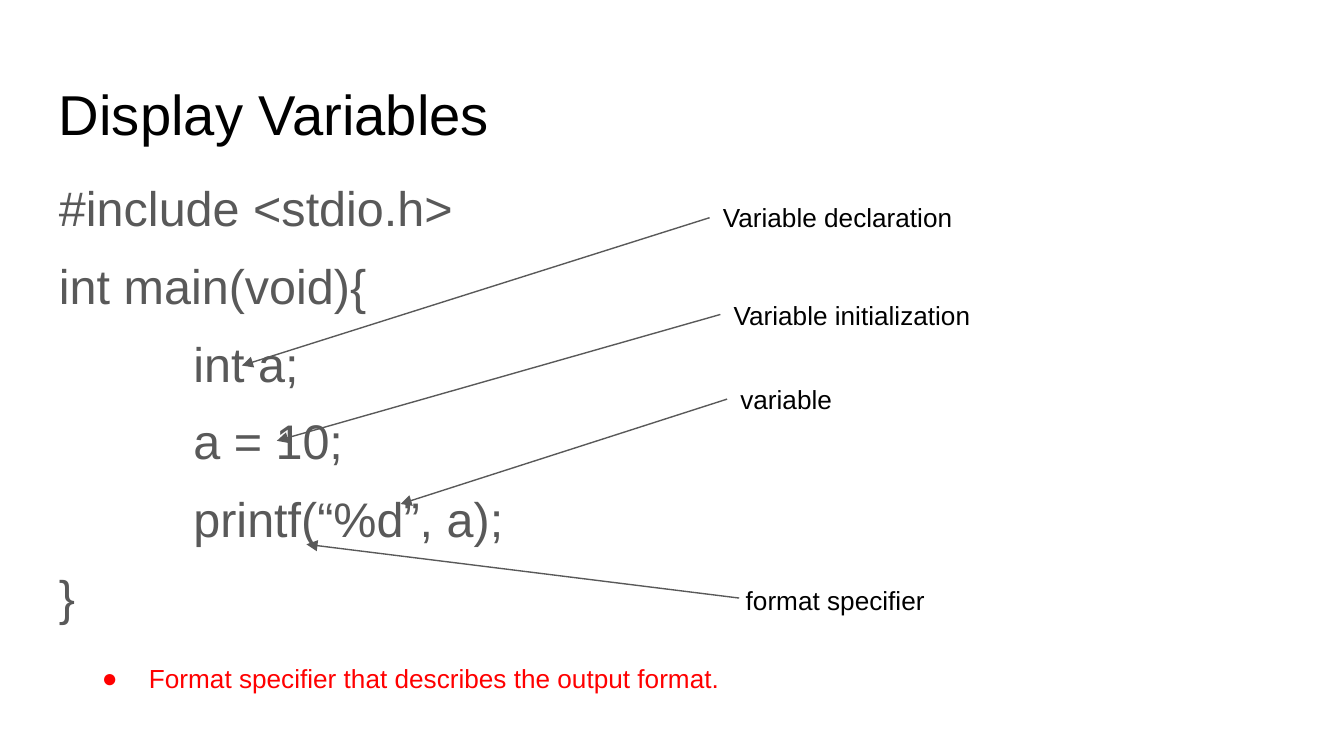
import pptx
import pptx.util
import pptx.dml.color
import pptx.enum.shapes
import pptx.enum.text
from lxml import etree

INK, CODE_GREY, RED = "000000", "595959", "FF0000"
TITLE = "Display Variables"
CODE = ["#include <stdio.h>", "int main(void){", "\tint a;", "\ta = 10;",
        "\tprintf(“%d”, a);", "}"]
# label, label left and top, arrow start, arrow tip
CALLOUTS = [
    ("Variable declaration", (5.28, 1.4), (5.28, 1.62), (1.8, 2.72)),
    ("Variable initialization ", (5.36, 2.13), (5.36, 2.34), (2.06, 3.28)),
    ("variable", (5.41, 2.75), (5.41, 2.97), (2.98, 3.75)),
    ("format specifier", (5.45, 4.25), (5.5, 4.45), (2.28, 4.05)),
]
NOTE = "Format specifier that describes the output format."

Inches, Pt = pptx.util.Inches, pptx.util.Pt
qn = pptx.oxml.ns.qn


def rgb(value):
    """Turn a hex string into a colour."""
    return pptx.dml.color.RGBColor.from_string(value)


def add_text(s, box, lines, size, color):
    """Add a wrapped text box with one paragraph per line; return its frame."""
    tf = s.shapes.add_textbox(*map(Inches, box)).text_frame
    tf.word_wrap = True
    tf.auto_size = pptx.enum.text.MSO_AUTO_SIZE.NONE
    tf.margin_left = tf.margin_right = Inches(0.1)
    tf.margin_top = tf.margin_bottom = Inches(0.1)
    tf.text = "\n".join(lines)
    for p in tf.paragraphs:
        for r in p.runs:
            r.font.size, r.font.name = Pt(size), "Arial"
            r.font.color.rgb = rgb(color)
    return tf


def add_tab_stop(p, inches):
    """Set a left tab stop on a paragraph."""
    tabs = etree.SubElement(p._p.get_or_add_pPr(), qn("a:tabLst"))
    etree.SubElement(tabs, qn("a:tab"), pos=str(Inches(inches)), algn="l")


def add_bullet(p, color):
    """Give a paragraph a round bullet with a hanging indent."""
    pPr = p._p.get_or_add_pPr()
    pPr.set("marL", str(Inches(0.5)))
    pPr.set("indent", str(Inches(-0.35)))
    clr = etree.SubElement(pPr, qn("a:buClr"))
    etree.SubElement(clr, qn("a:srgbClr"), val=color)
    etree.SubElement(pPr, qn("a:buFont"), typeface="Arial")
    etree.SubElement(pPr, qn("a:buChar"), char="●")


def add_arrow(s, start, tip):
    """Draw a thin straight arrow from start to tip."""
    line = s.shapes.add_connector(pptx.enum.shapes.MSO_CONNECTOR.STRAIGHT,
                                  *map(Inches, start + tip))
    line.line.color.rgb = rgb(CODE_GREY)
    line.line.width = Pt(0.75)
    etree.SubElement(line.line._get_or_add_ln(), qn("a:tailEnd"), type="triangle")
    etree.SubElement(line._element.spPr, qn("a:effectLst"))


prs = pptx.Presentation()
prs.slide_width, prs.slide_height = Inches(10), Inches(10 * 9 / 16)
s = prs.slides.add_slide(prs.slide_layouts[6])

add_text(s, (0.34, 0.49, 9.32, 0.63), [TITLE], 30.1, INK)

code = add_text(s, (0.34, 1.26, 9.32, 3.74), CODE, 26, CODE_GREY)
for i, p in enumerate(code.paragraphs):
    p.line_spacing = 0.95
    p.space_before = Pt(12 if i else 0)
    if p.text.startswith("\t"):
        add_tab_stop(p, 1)
code.paragraphs[-1].space_after = Pt(12)

for label, corner, start, tip in CALLOUTS:
    add_text(s, corner + (2.48, 0.44), [label], 14, INK)

note = add_text(s, (0.51, 4.83, 8.84, 0.44), [NOTE], 14, RED)
add_bullet(note.paragraphs[0], RED)

for label, corner, start, tip in CALLOUTS:
    add_arrow(s, start, tip)

prs.save("out.pptx")
